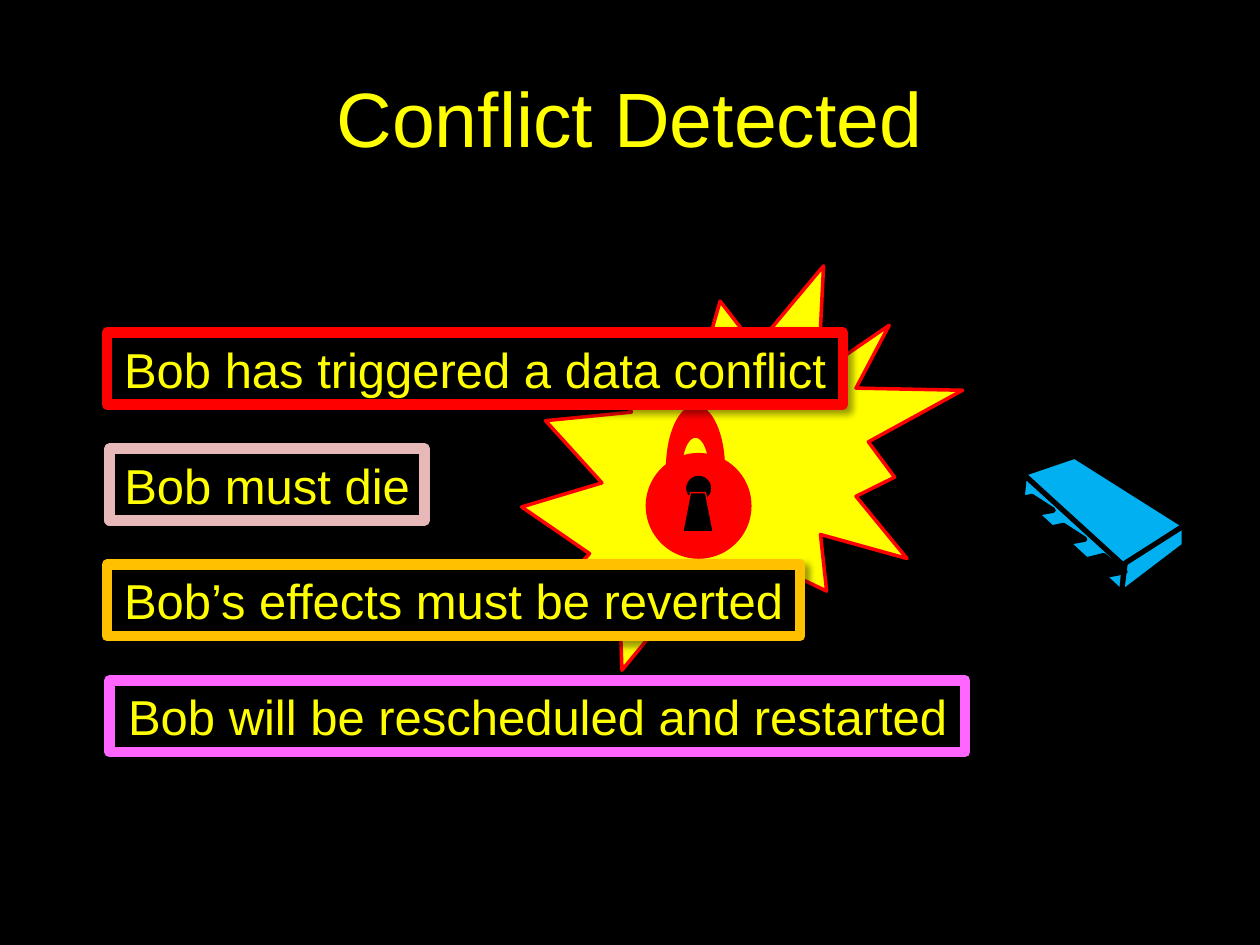
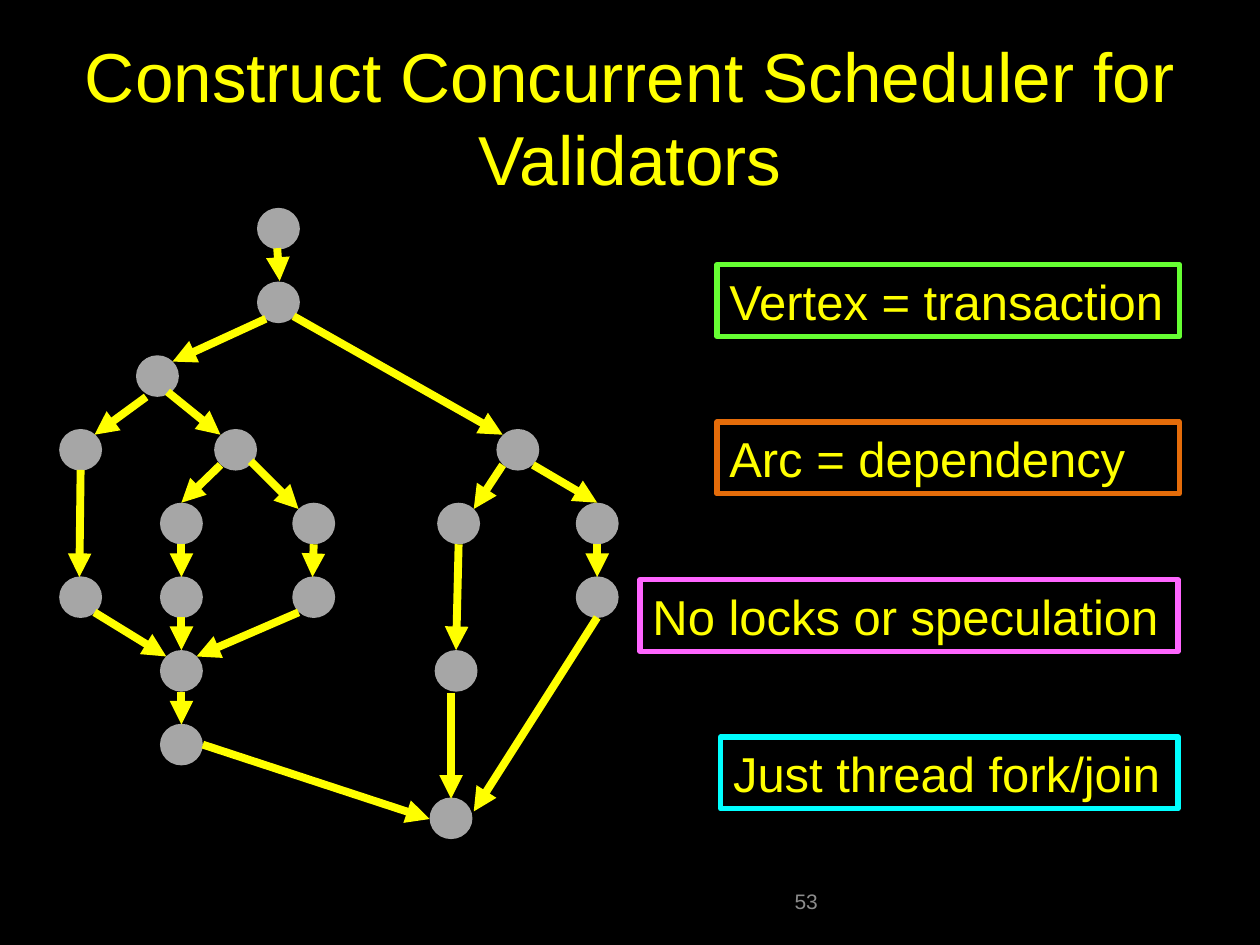
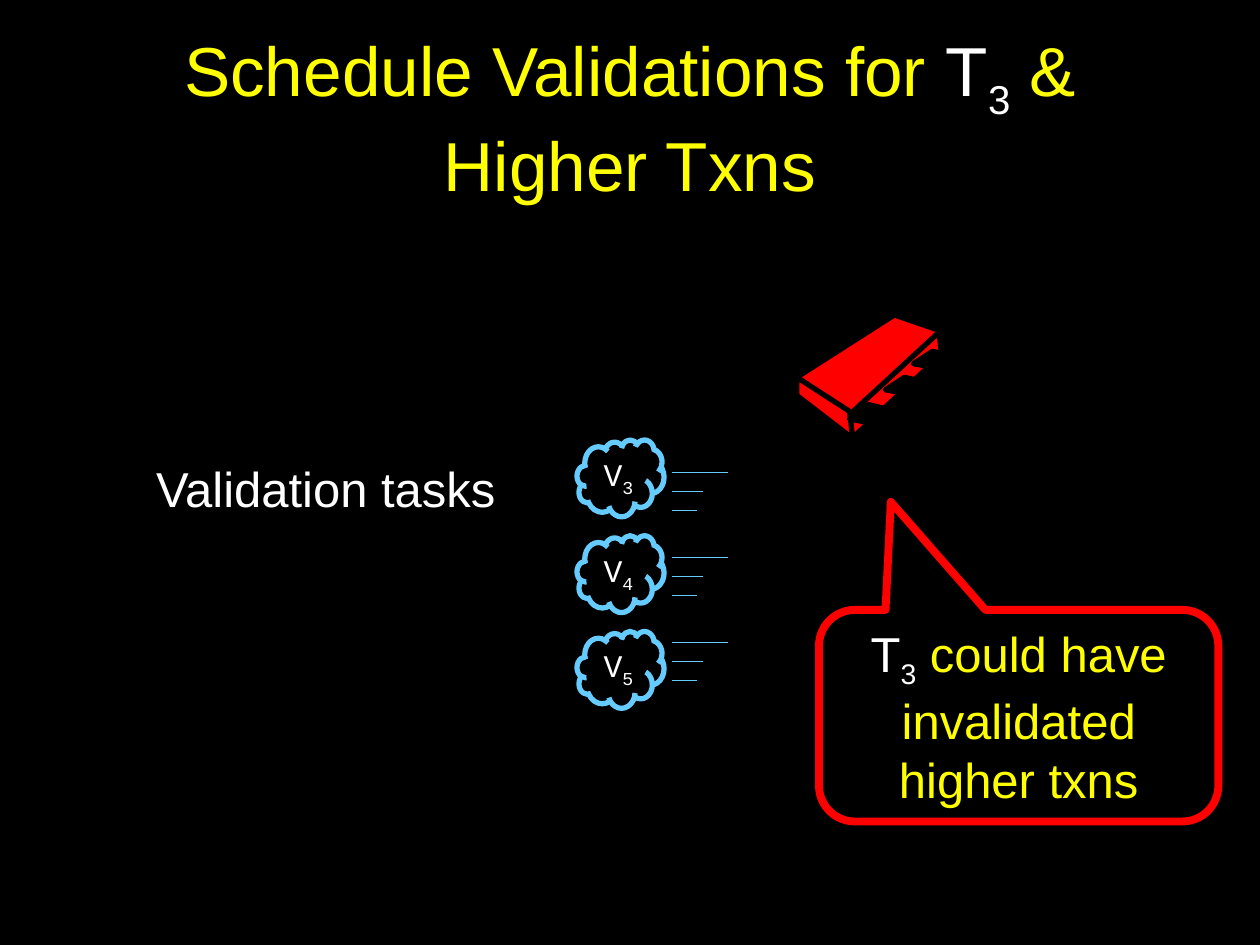
import math

from lxml import etree
from pptx import Presentation
from pptx.dml.color import RGBColor
from pptx.enum import shapes, text
from pptx.oxml import ns
from pptx.util import Inches, Pt

YELLOW, WHITE, BLACK = "FFFF00", "FFFFFF", "000000"
RED, SKY, PINK, GRAY = "FF0000", "66CCFF", "FF66FF", "A6A6A6"
FONT = "Arial"
SHAPE = shapes.MSO_SHAPE
LEFT, CENTER, RIGHT = text.PP_ALIGN.LEFT, text.PP_ALIGN.CENTER, text.PP_ALIGN.RIGHT


def paint(item, fill=None, line=None, width=0.75):
    """Set fill and line, and drop the shadow; connectors have no fill."""
    if hasattr(item, "fill"):
        if fill:
            item.fill.solid()
            item.fill.fore_color.rgb = RGBColor.from_string(fill)
        else:
            item.fill.background()
    if line:
        item.line.color.rgb = RGBColor.from_string(line)
        item.line.width = Pt(width)
    else:
        item.line.fill.background()
    etree.SubElement(item._element.spPr, ns.qn("a:effectLst"))


def write(frame, pieces, size, align=CENTER, wrap=True, font=FONT):
    """Fill a frame from (text, colour, is subscript) pieces."""
    frame.word_wrap = wrap
    frame.auto_size = text.MSO_AUTO_SIZE.NONE
    frame.vertical_anchor = text.MSO_ANCHOR.MIDDLE
    paragraph = frame.paragraphs[0]
    paragraph.alignment = align
    for words, color, subscript in pieces:
        run = paragraph.add_run()
        run.text = words
        run.font.size = Pt(size)
        run.font.name = font
        run.font.color.rgb = RGBColor.from_string(color)
        if subscript:
            run._r.get_or_add_rPr().set("baseline", "-25000")


prs = Presentation()
prs.slide_width, prs.slide_height = Inches(10), Inches(7.5)
backdrop = prs.slide_master.background.fill
backdrop.solid()
backdrop.fore_color.rgb = RGBColor.from_string(BLACK)

T3 = [("T", WHITE, False), ("3", WHITE, True)]
titles = [
    (44, [("Conflict Detected", YELLOW, False)]),
    (39.6, [("Construct Concurrent Scheduler for Validators", YELLOW, False)]),
    (39.6, [("Schedule Validations for ", YELLOW, False), *T3,
            (" & Higher Txns", YELLOW, False)]),
]
for size, pieces in titles:
    slide = prs.slides.add_slide(prs.slide_layouts[5])
    title = slide.shapes.title
    title.left, title.top = Inches(0.5), Inches(0.3)
    title.width, title.height = Inches(9), Inches(1.25)
    write(title.text_frame, pieces, size)
conflict, scheduler, validation = prs.slides

# Conflict: burst and padlock
padlock = [
    (SHAPE.EXPLOSION2, 4.14, 2.11, 3.5, 3.21, YELLOW, 2),
    (SHAPE.OVAL, 5.13, 3.6, 0.83, 0.83, RED, 0.75),
    (SHAPE.OVAL, 5.44, 3.77, 0.21, 0.21, BLACK, 0.75),
]
for kind, x, y, w, h, fill, width in padlock:
    part = conflict.shapes.add_shape(kind, Inches(x), Inches(y), Inches(w), Inches(h))
    paint(part, fill, RED, width)

keyhole = [(5.42, 4.22), (5.48, 3.91), (5.6, 3.91), (5.66, 4.22)]
angles = [math.pi * step / 32 for step in range(33)]
outer = [(5.52 - 0.23 * math.cos(a), 3.72 - 0.5 * math.sin(a)) for a in angles]
inner = [(5.52 + 0.11 * math.cos(a), 3.72 - 0.25 * math.sin(a)) for a in angles]
outlines = [(conflict, keyhole, BLACK, RED, 0.75),
            (conflict, outer + inner, RED, RED, 0.75)]

# Chips: the one on the validation slide is mirrored and smaller
right_pin = [(0, 0.08), (0.16, 0), (0.24, 0.08), (0.24, 0.55),
             (0.16, 0.47), (0.16, 0.15), (0, 0.23)]
left_pin = [(0.23, 0), (0.4, 0.11), (0.11, 0.16), (0.11, 0.48), (0, 0.37), (0, 0.05)]
body = [
    [(0.44, 0), (1.31, 0.55), (0.82, 0.88), (0, 0.15)],
    [(0.04, 0.15), (0.83, 0.87), (0.82, 1.09), (0.02, 0.35)],
    [(1.31, 0.55), (1.31, 0.71), (0.81, 1.09), (0.84, 0.85)],
]
back_pins = [[(x + dx, y + dy) for x, y in right_pin]
             for dx, dy in [(0.58, -0.02), (1.15, 0.39), (0.81, 0.15)]]
front_pins = [[(x + dx, y * stretch + dy) for x, y in left_pin]
              for dx, dy, stretch in [(0.44, 0.79, 1.15), (0.12, 0.55, 1), (-0.13, 0.32, 1)]]
chips = [(conflict, "00B0F0", 8.09, 3.62, 1, 1),
         (validation, RED, 7.49, 2.5, -0.89, 0.9)]
for slide, color, left, top, x_scale, y_scale in chips:
    for parts, fill in [(back_pins, BLACK), (body, color), (front_pins, BLACK)]:
        for part in parts:
            points = [(left + x * x_scale, top + y * y_scale) for x, y in part]
            outlines.append((slide, points, fill, BLACK, 3))

for slide, points, fill, line, width in outlines:
    corners = [(Inches(x), Inches(y)) for x, y in points]
    builder = slide.shapes.build_freeform(*corners[0])
    builder.add_line_segments(corners[1:], close=True)
    paint(builder.convert_to_shape(), fill, line, width)

# Scheduler: page number, vertices by row, arcs
page = scheduler.shapes.add_textbox(Inches(3.42), Inches(6.95), Inches(3.17), Inches(0.4))
write(page.text_frame, [("53", "8C8C8C", False)], 12, RIGHT)

vertex_rows = [[2.04], [2.04], [1.08], [3.94, 1.7, 0.47], [1.27, 2.32, 3.47, 4.57],
               [0.47, 1.27, 2.32, 4.57], [1.27, 3.45], [1.27], [3.41]]
for row, lefts in enumerate(vertex_rows):
    for left in lefts:
        vertex = scheduler.shapes.add_shape(
            SHAPE.OVAL, Inches(left), Inches(1.65 + row * 4.68 / 8), Inches(0.34), Inches(0.33))
        paint(vertex, GRAY)

arcs = [
    (2.2, 1.97, 2.22, 2.23), (2.11, 2.53, 1.37, 2.87), (2.33, 2.51, 3.99, 3.45),
    (4.23, 3.69, 4.74, 3.99), (3.99, 3.69, 3.76, 4.04), (4.74, 4.32, 4.74, 4.58),
    (3.64, 4.32, 3.62, 5.16), (3.58, 5.5, 3.58, 6.34), (1.61, 5.91, 3.41, 6.5),
    (4.74, 4.9, 3.76, 6.44), (1.44, 5.49, 1.44, 5.75), (1.16, 3.15, 0.75, 3.45),
    (1.33, 3.11, 1.75, 3.45), (1.99, 3.66, 2.37, 4.04), (1.75, 3.69, 1.44, 3.99),
    (0.64, 3.73, 0.63, 4.58), (1.44, 4.32, 1.44, 4.58), (2.49, 4.32, 2.48, 4.58),
    (2.37, 4.86, 1.56, 5.21), (0.75, 4.86, 1.32, 5.21), (1.44, 4.9, 1.44, 5.16),
]
for ends in arcs:
    arc = scheduler.shapes.add_connector(shapes.MSO_CONNECTOR.STRAIGHT, *map(Inches, ends))
    paint(arc, line=YELLOW, width=4.5)
    etree.SubElement(arc.line._get_or_add_ln(), ns.qn("a:tailEnd"), type="triangle")

# Framed statements on the conflict and scheduler slides
statements = [
    (conflict, 2.64, 0.92, 6, CENTER, False, [
        ("Bob has triggered a data conflict", 0.85, 5.84, RED),
        ("Bob must die", 0.87, 2.5, "E6B9B8"),
        ("Bob’s effects must be reverted", 0.85, 5.5, "FFC000"),
        ("Bob will be rescheduled and restarted", 0.87, 6.79, PINK)]),
    (scheduler, 2.1, 1.25, 3, LEFT, True, [
        ("Vertex = transaction", 5.69, 3.67, "66FF33"),
        ("Arc = dependency", 5.69, 3.67, "E46C0A"),
        ("No locks or speculation", 5.08, 4.27, PINK),
        ("Just thread fork/join", 5.72, 3.63, "00FFFF")]),
]
for slide, top, pitch, border, align, wrap, rows in statements:
    for row, (words, left, width, color) in enumerate(rows):
        statement = slide.shapes.add_shape(
            SHAPE.RECTANGLE, Inches(left), Inches(top + row * pitch), Inches(width), Inches(0.57))
        paint(statement, BLACK, color, border)
        write(statement.text_frame, [(words, YELLOW, False)], 28, align, wrap)
        effects = statement._element.spPr.find(ns.qn("a:effectLst"))
        shadow = etree.SubElement(effects, ns.qn("a:outerShdw"), blurRad=str(Pt(4)),
                                  dist=str(Pt(3)), dir="2700000")
        shade = etree.SubElement(shadow, ns.qn("a:srgbClr"), val=BLACK)
        etree.SubElement(shade, ns.qn("a:alpha"), val="40000")

# Validation: caption, task clouds with speed lines, callout
caption = validation.shapes.add_shape(
    SHAPE.RECTANGLE, Inches(1.12), Inches(3.59), Inches(2.93), Inches(0.57))
paint(caption, BLACK)
write(caption.text_frame, [("Validation tasks", WHITE, False)], 28, wrap=False)

for task, number in enumerate("345"):
    cloud = validation.shapes.add_shape(
        SHAPE.CLOUD, Inches(4.58), Inches(3.49 + task * 0.76), Inches(0.69), Inches(0.61))
    paint(cloud, line=SKY, width=3)
    write(cloud.text_frame, [("V", WHITE, False), (number, WHITE, True)], 18, RIGHT,
          False, "Courier New")
    for row, length in enumerate([0.45, 0.25, 0.2]):
        y = Inches(3.75 + task * 1.35 / 2 + row * 0.15)
        speed_line = validation.shapes.add_connector(
            shapes.MSO_CONNECTOR.STRAIGHT, Inches(5.33), y, Inches(5.33 + length), y)
        paint(speed_line, line=SKY)

callout = validation.shapes.add_shape(
    SHAPE.ROUNDED_RECTANGULAR_CALLOUT, Inches(6.5), Inches(4.84), Inches(3.17), Inches(1.68))
for index, value in enumerate([-0.32, -1.01, 0.17]):
    callout.adjustments[index] = value
paint(callout, BLACK, RED, 4.5)
write(callout.text_frame, [*T3, (" could have invalidated higher txns", YELLOW, False)], 28)

prs.save("out.pptx")
